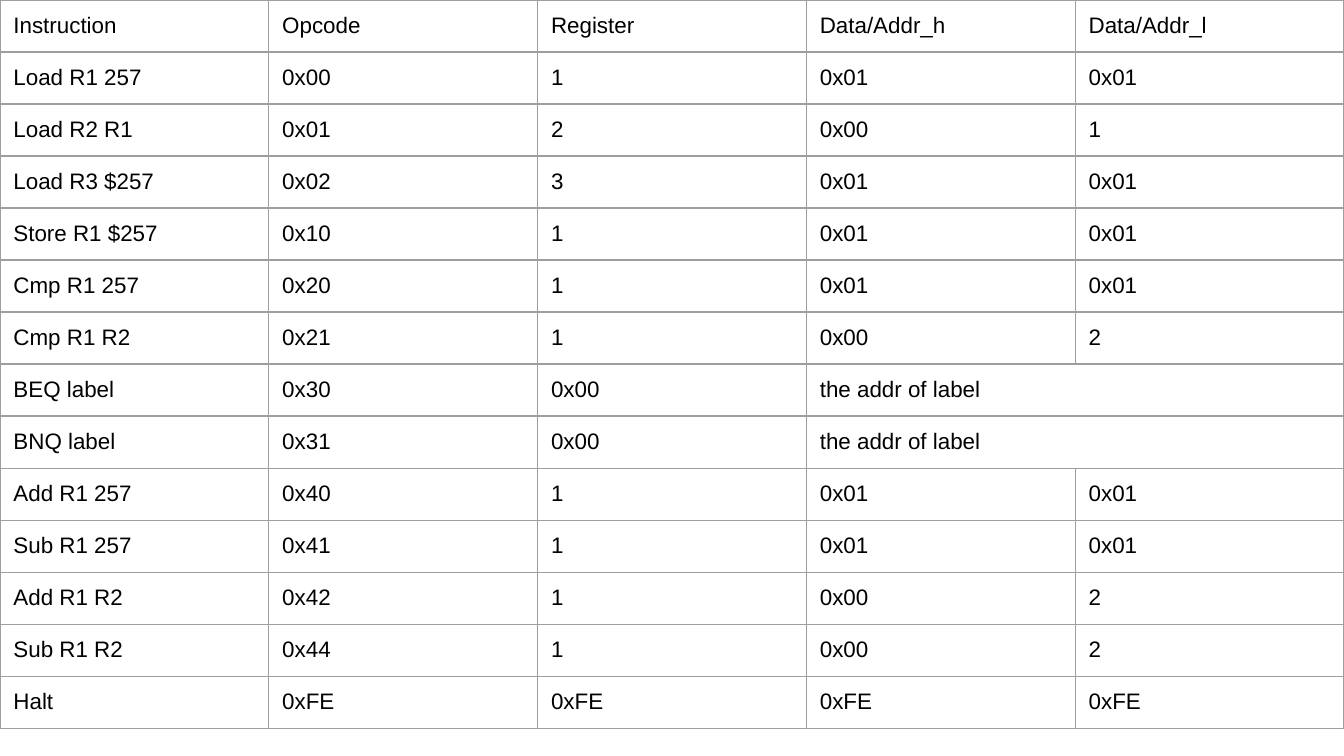
from lxml import etree
from pptx import Presentation
from pptx import util as u
from pptx.dml.color import RGBColor
from pptx.oxml import ns


def rgb(value):
    return RGBColor.from_string(value)


def add_borders(cell, color, width):
    tc_pr = cell._tc.get_or_add_tcPr()
    for side in ("lnL", "lnR", "lnT", "lnB"):
        ln = etree.SubElement(tc_pr, ns.qn("a:" + side), w=str(u.Pt(width)))
        fill = etree.SubElement(ln, ns.qn("a:solidFill"))
        etree.SubElement(fill, ns.qn("a:srgbClr"), val=color)


# Widescreen 16:9 slide
prs = Presentation()
prs.slide_width = u.Inches(10)
prs.slide_height = u.Inches(10) * 9 // 16
s = prs.slides.add_slide(prs.slide_layouts[6])

# Instruction set; a row of four entries has a merged address cell
rows = [
    ("Instruction", "Opcode", "Register", "Data/Addr_h", "Data/Addr_l"),
    ("Load R1 257", "0x00", "1", "0x01", "0x01"),
    ("Load R2 R1", "0x01", "2", "0x00", "1"),
    ("Load R3 $257", "0x02", "3", "0x01", "0x01"),
    ("Store R1 $257", "0x10", "1", "0x01", "0x01"),
    ("Cmp R1 257", "0x20", "1", "0x01", "0x01"),
    ("Cmp R1 R2", "0x21", "1", "0x00", "2"),
    ("BEQ label", "0x30", "0x00", "the addr of label"),
    ("BNQ label", "0x31", "0x00", "the addr of label"),
    ("Add R1 257", "0x40", "1", "0x01", "0x01"),
    ("Sub R1 257", "0x41", "1", "0x01", "0x01"),
    ("Add R1 R2", "0x42", "1", "0x00", "2"),
    ("Sub R1 R2", "0x44", "1", "0x00", "2"),
    ("Halt", "0xFE", "0xFE", "0xFE", "0xFE"),
]
n_cols = len(rows[0])

# Table, with the height shared equally by the rows
table = s.shapes.add_table(len(rows), n_cols, 0, 0,
                           u.Inches(10), u.Inches(5.3)).table
table.first_row = table.horz_banding = False

# Cell formats
margins = {"margin_" + side: u.Inches(0.1)
           for side in ("left", "right", "top", "bottom")}
font_format = {"name": "Arial", "size": u.Pt(12), "bold": False}

for i, values in enumerate(rows):
    if len(values) < n_cols:
        table.cell(i, len(values) - 1).merge(table.cell(i, n_cols - 1))
    for j in range(n_cols):
        cell = table.cell(i, j)
        add_borders(cell, "9E9E9E", 0.75)
        cell.fill.background()
        for name, value in margins.items():
            setattr(cell, name, value)
        if j < len(values):
            r = cell.text_frame.paragraphs[0].add_run()
            r.text = values[j]
            r.font.color.rgb = rgb("000000")
            for name, value in font_format.items():
                setattr(r.font, name, value)

prs.save("out.pptx")
